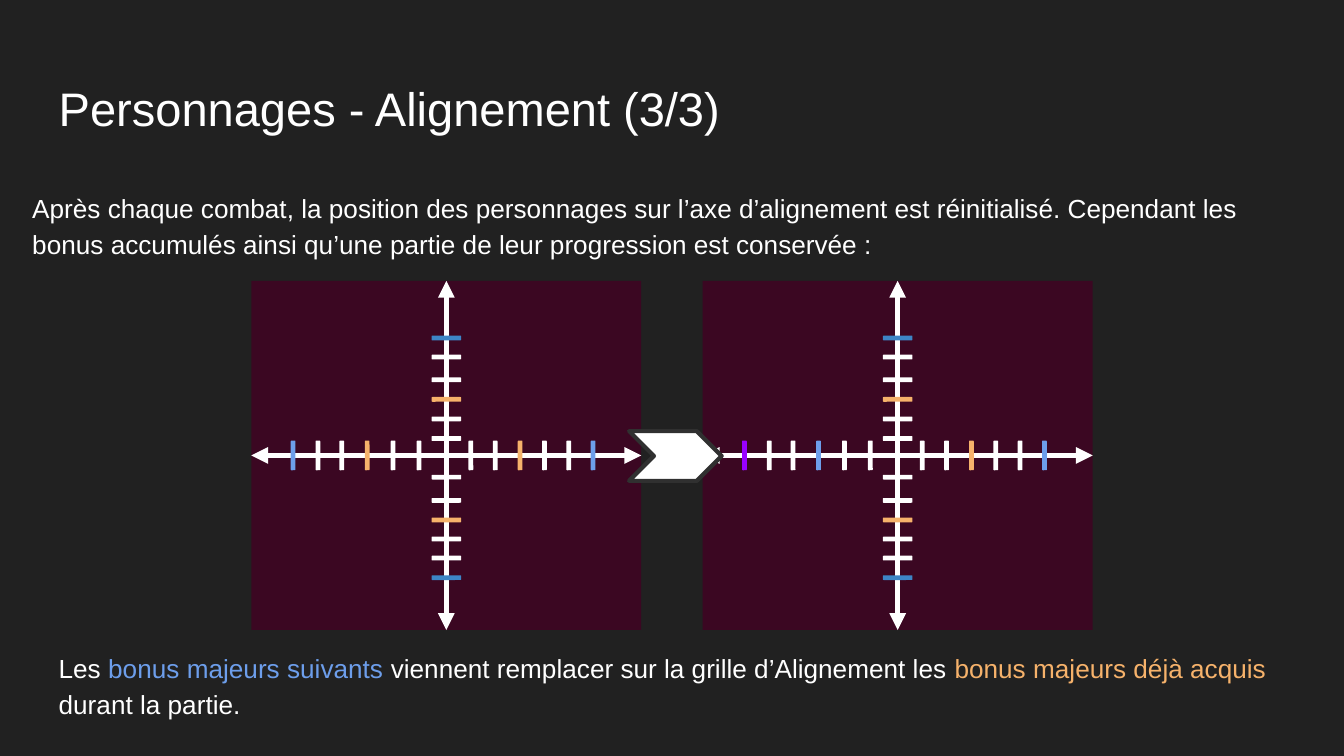
"""Build the slide on character alignment, with two alignment grids."""
from lxml.etree import SubElement
from pptx import Presentation
from pptx.dml.color import RGBColor as RGB
from pptx.enum.shapes import MSO_CONNECTOR as Link, MSO_SHAPE as Kind
from pptx.enum.text import MSO_ANCHOR as Anchor, PP_ALIGN as Align
from pptx.oxml.ns import qn
from pptx.util import Cm, Pt

DARK = RGB(0x21, 0x21, 0x21)
WHITE = RGB(0xFF, 0xFF, 0xFF)
PLUM = RGB(0x3B, 0x07, 0x22)
GOLD = RGB(0xF6, 0xB2, 0x6B)
SKY = RGB(0x6D, 0x9E, 0xEB)
BLUE = RGB(0x3D, 0x85, 0xC6)
VIOLET = RGB(0x99, 0x00, 0xFF)
EDGE = RGB(0x30, 0x30, 0x30)

TOP, WIDE, HIGH = 5.31, 7.37, 6.6
THICK, LONG = 0.09, 0.56
ACROSS = [0.79, 1.26, 1.71, 2.19, 2.68, 3.17, 4.15, 4.61, 5.08, 5.54, 6, 6.46]
DOWN = [1.08, 1.44, 1.87, 2.24, 2.61, 2.98, 3.71, 4.15, 4.52, 4.88, 5.24, 5.61]
DOWN_TINTS = {0: BLUE, 3: GOLD, 8: GOLD, 11: BLUE}
GRIDS = [
    (4.75, {0: SKY, 3: GOLD, 8: GOLD, 11: SKY}),
    (13.28, {0: VIOLET, 3: SKY, 8: GOLD, 11: SKY}),
]
NOTES = [
    (0.36, 3.3, 24.05, [
        ("Après chaque combat, la position des personnages sur l’axe "
         "d’alignement est réinitialisé. Cependant les bonus accumulés ainsi "
         "qu’une partie de leur progression est conservée :", WHITE)]),
    (0.86, 11.99, 23.55, [
        ("Les ", WHITE),
        ("bonus majeurs suivants", SKY),
        (" viennent remplacer sur la grille d’Alignement les ", WHITE),
        ("bonus majeurs déjà acquis", GOLD),
        (" durant la partie.", WHITE)]),
]


def draw(shapes, kind, box, tint):
    shape = shapes.add_shape(kind, *map(Cm, box))
    shape.shadow.inherit = False
    shape.fill.solid()
    shape.fill.fore_color.rgb = tint
    shape.line.fill.background()
    return shape


def set_frame(frame, anchor):
    frame.word_wrap = True
    frame.vertical_anchor = anchor
    frame.margin_left = frame.margin_right = Cm(0.25)
    frame.margin_top = frame.margin_bottom = Cm(0.25)
    return frame.paragraphs[0]


deck = Presentation()
deck.slide_width, deck.slide_height = Cm(25.4), Cm(14.29)
slide = deck.slides.add_slide(deck.slide_layouts[5])
slide.background.fill.solid()
slide.background.fill.fore_color.rgb = DARK

title = slide.shapes.title
title.left, title.top, title.width, title.height = map(Cm, (0.86, 1.24, 23.67, 1.6))
title.text_frame.text = "Personnages - Alignement (3/3)"
para = set_frame(title.text_frame, Anchor.MIDDLE)
para.alignment = Align.LEFT
para.font.name, para.font.size = "Arial", Pt(25.2)
para.font.color.rgb = WHITE

for left, top, wide, parts in NOTES:
    note = slide.shapes.add_textbox(Cm(left), Cm(top), Cm(wide), Cm(2.16))
    para = set_frame(note.text_frame, Anchor.TOP)
    para.line_spacing, para.space_after = 1.15, Pt(12)
    para.font.name, para.font.size = "Arial", Pt(14)
    for text, tint in parts:
        run = para.add_run()
        run.text = text
        run.font.color.rgb = tint

for left, tints in GRIDS:
    group = slide.shapes.add_group_shape().shapes
    panel = draw(group, Kind.RECTANGLE, (left, TOP, WIDE, HIGH), PLUM)
    for start, end in ((0, 2), (1, 3)):
        axis = group.add_connector(Link.STRAIGHT, 0, 0, 0, 0)
        axis.begin_connect(panel, start)
        axis.end_connect(panel, end)
        axis.line.color.rgb = WHITE
        axis.line.width = Pt(3)
        line = axis.line._get_or_add_ln()
        for tip in ("a:headEnd", "a:tailEnd"):
            SubElement(line, qn(tip), type="triangle")
        SubElement(axis._element.spPr, qn("a:effectLst"))

    mid_x, mid_y = left + WIDE / 2, TOP + HIGH / 2
    ticks = [(left + x, mid_y, 0, tints.get(i, WHITE)) for i, x in enumerate(ACROSS)]
    ticks += [(mid_x, TOP + y, 90, DOWN_TINTS.get(i, WHITE)) for i, y in enumerate(DOWN)]
    for x, y, turn, tint in ticks:
        box = (x - THICK / 2, y - LONG / 2, THICK, LONG)
        tick = draw(group, Kind.ROUNDED_RECTANGLE, box, tint)
        tick.rotation = turn

arrow = draw(slide.shapes, Kind.CHEVRON, (11.89, 8.15, 1.75, 0.94), WHITE)
arrow.line.color.rgb = EDGE
arrow.line.width = Pt(2.25)

deck.save("out.pptx")
